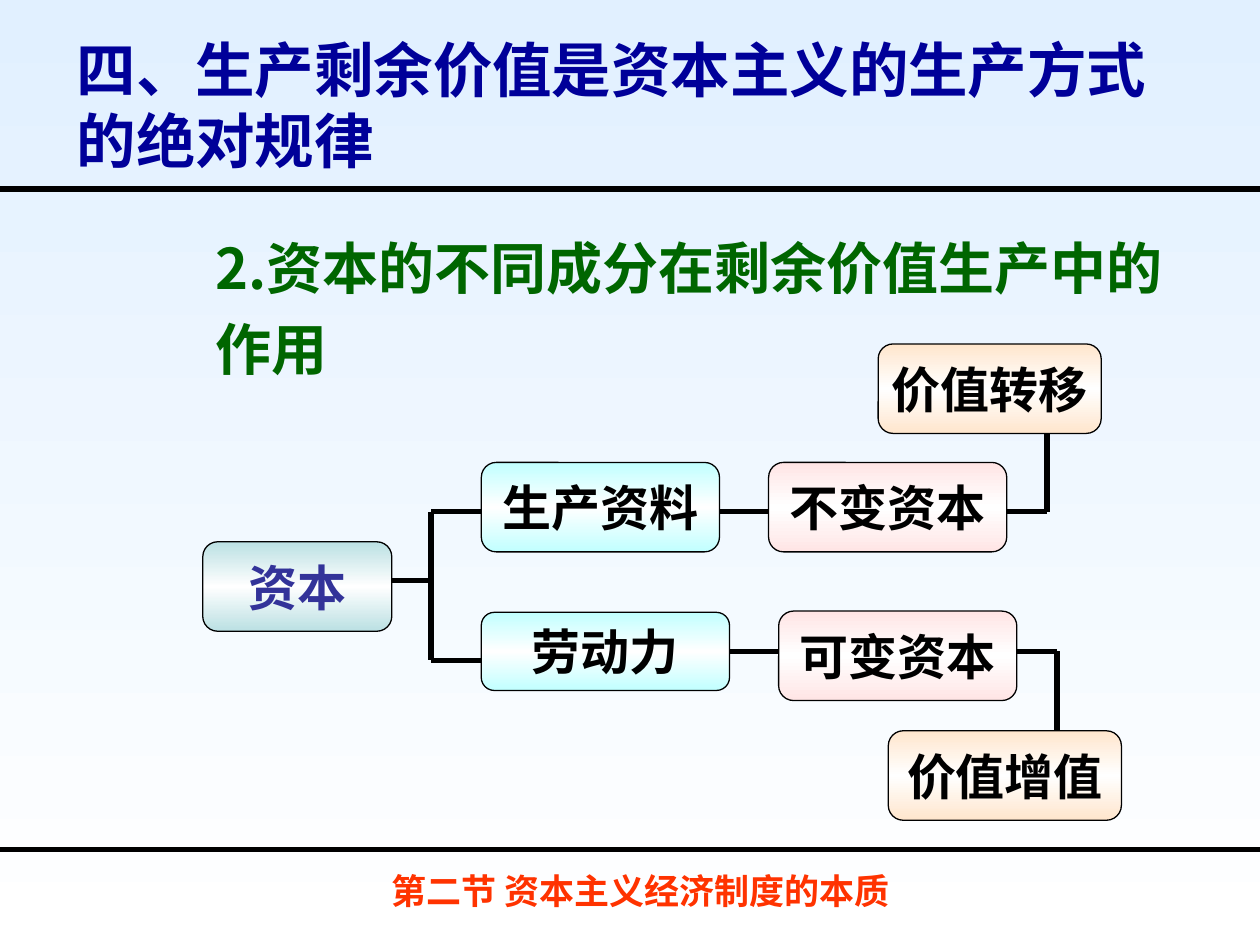
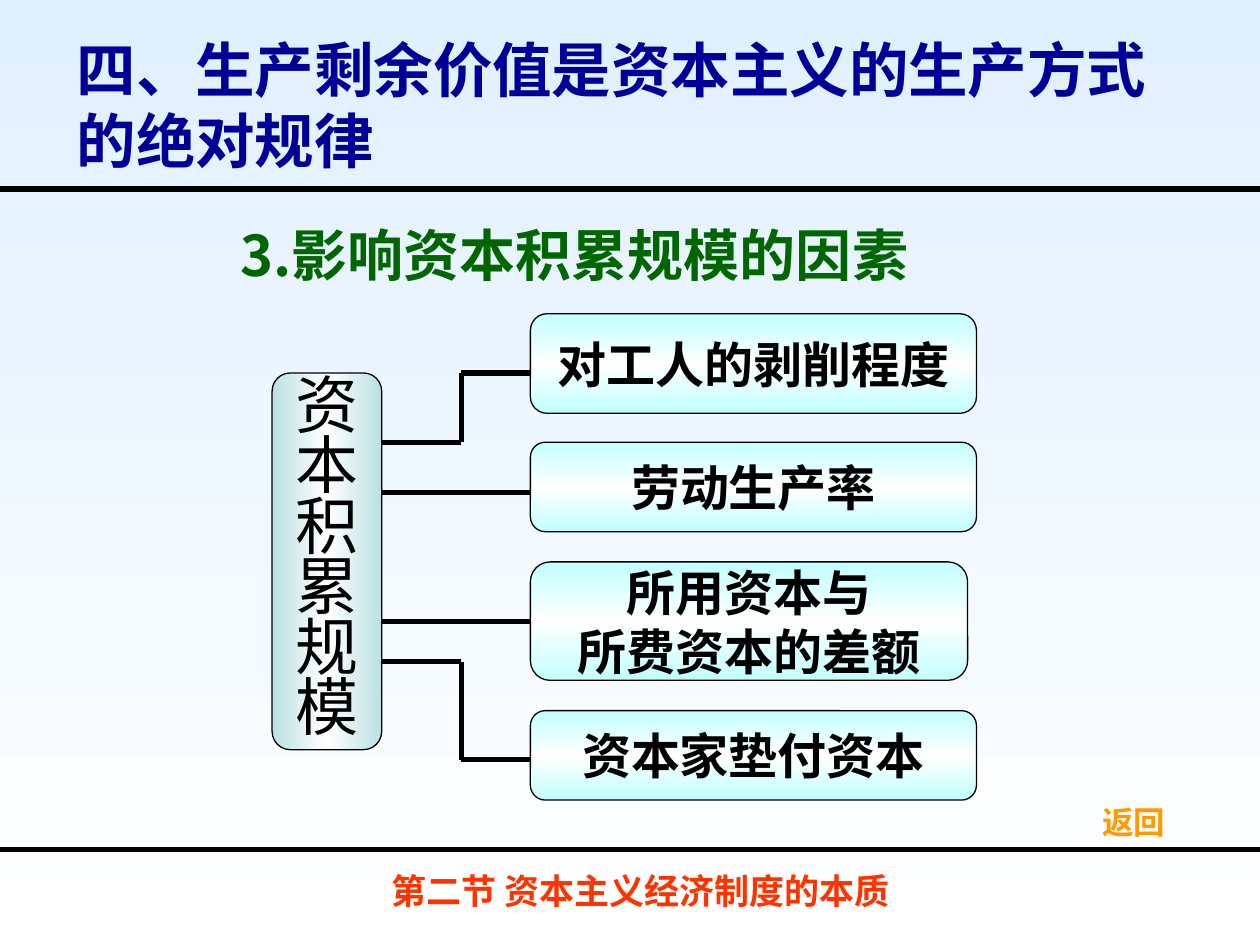
import copy
from dataclasses import dataclass
from itertools import pairwise
from typing import Any, NamedTuple

import pptx
import pptx.dml.color
import pptx.enum.shapes
import pptx.enum.text
import pptx.oxml
import pptx.oxml.ns
import pptx.util

Inches = pptx.util.Inches
Pt = pptx.util.Pt
Rgb = pptx.dml.color.RGBColor.from_string
qn = pptx.oxml.ns.qn
Align = pptx.enum.text.PP_ALIGN
Anchor = pptx.enum.text.MSO_ANCHOR


class Style(NamedTuple):
    size: int
    color: str
    font: str = "Arial"
    bold: bool = True


@dataclass(frozen=True)
class Theme:
    asian: str = "Noto Sans CJK SC"
    ink: str = "000000"
    white: str = "FFFFFF"
    sky: str = "E1F0FF"
    teal: str = "BBE0E3"
    cyan: str = "C1FFFF"
    peach: str = "FFE6CD"
    pink: str = "FFE5E5"
    rule: float = 3
    edge: float = 0.75
    title: Style = Style(34, "000099", "Noto Sans CJK SC")
    head: Style = Style(32, "006600", "Noto Sans CJK SC")
    foot: Style = Style(20, "FF3300", "Noto Sans CJK SC")
    root: Style = Style(28, "333399")
    label: Style = Style(28, "000000")
    tall: Style = Style(36, "000000", bold=False)
    back: Style = Style(18, "FF9900")


THEME = Theme()
Point = tuple[float, float]


class Place(NamedTuple):
    left: float
    top: float
    width: float
    height: float

    def emu(self) -> list[int]:
        return [Inches(side) for side in self]


@dataclass(frozen=True)
class Node:
    text: str
    place: Place
    fill: str
    style: Style = THEME.label
    angle: int = 270
    space: float | None = None


def paint(fill: Any, root: Any, colors: list[str], angle: int) -> None:
    fill.gradient()
    fill.gradient_angle = angle
    stops = next(root.iter(qn("a:gsLst")))
    while len(stops) < len(colors):
        stops.append(copy.deepcopy(stops[-1]))
    for i, (stop, color) in enumerate(zip(fill.gradient_stops, colors)):
        stop.position = i / (len(colors) - 1)
        stop.color.rgb = Rgb(color)


def write(shape: Any, text: str, style: Style, align: Any = Align.CENTER,
          wrap: bool = False, anchor: Any = Anchor.MIDDLE,
          space: float | None = None, inset: float = 0.1) -> None:
    frame = shape.text_frame
    frame.word_wrap = wrap
    frame.vertical_anchor = anchor
    frame.margin_left = frame.margin_right = Inches(inset)
    for i, row in enumerate(text.split("\n")):
        para = frame.add_paragraph() if i else frame.paragraphs[0]
        para.alignment = align
        para.line_spacing = space
        for j, part in enumerate(row.split("\v")):
            if j:
                para.add_line_break()
            run = para.add_run()
            run.text = part
            run.font.size = Pt(style.size)
            run.font.bold = style.bold
            run.font.name = style.font
            run.font.color.rgb = Rgb(style.color)
            asian = pptx.oxml.parse_xml(
                f'<a:ea {pptx.oxml.ns.nsdecls("a")} typeface="{THEME.asian}"/>')
            run.font._element.append(asian)


def label(slide: Any, text: str, place: Place, style: Style, **opts: Any) -> None:
    write(slide.shapes.add_textbox(*place.emu()), text, style, **opts)


def box(slide: Any, node: Node) -> Any:
    kind = pptx.enum.shapes.MSO_SHAPE.ROUNDED_RECTANGLE
    shape = slide.shapes.add_shape(kind, *node.place.emu())
    shape.shadow.inherit = False
    paint(shape.fill, shape.element, [node.fill, THEME.white, node.fill], node.angle)
    shape.line.color.rgb = Rgb(THEME.ink)
    shape.line.width = Pt(THEME.edge)
    write(shape, node.text, node.style, space=node.space)
    return shape


def route(slide: Any, *points: Point) -> list[Any]:
    lines = []
    for start, end in pairwise(points):
        line = slide.shapes.add_connector(
            pptx.enum.shapes.MSO_CONNECTOR.STRAIGHT,
            *[Inches(v) for v in (*start, *end)])
        line.line.color.rgb = Rgb(THEME.ink)
        line.line.width = Pt(THEME.rule)
        line._element.spPr.append(pptx.oxml.parse_xml(
            f'<a:effectLst {pptx.oxml.ns.nsdecls("a")}/>'))
        lines.append(line)
    return lines


def base(deck: Any) -> Any:
    slide = deck.slides.add_slide(deck.slide_layouts[6])
    paint(slide.background.fill, slide.element, [THEME.sky, THEME.white], 270)
    for y in (1.5, 6.74):
        route(slide, (0, y), (10, y))
    label(slide, "四、生产剩余价值是资本主义的生产方式\v的绝对规律",
          Place(0.51, 0.28, 9.29, 1.1), THEME.title, align=Align.LEFT, wrap=True)
    label(slide, "第二节 资本主义经济制度的本质",
          Place(2.17, 6.83, 5.83, 0.47), THEME.foot)
    return slide


def parts(deck: Any) -> None:
    slide = base(deck)
    label(slide, "2.资本的不同成分在剩余价值生产中的作用",
          Place(1.61, 1.7, 7.87, 1.38), THEME.head, align=Align.LEFT,
          wrap=True, anchor=Anchor.TOP, space=1.2)
    nodes = [
        Node("资本", Place(1.61, 4.3, 1.5, 0.71), THEME.teal, THEME.root),
        Node("生产资料", Place(3.82, 3.67, 1.89, 0.71), THEME.cyan),
        Node("劳动力", Place(3.82, 4.86, 1.97, 0.62), THEME.cyan),
        Node("价值转移", Place(6.97, 2.73, 1.77, 0.71), THEME.peach),
        Node("价值增值", Place(7.05, 5.8, 1.85, 0.71), THEME.peach),
        Node("不变资本", Place(6.1, 3.67, 1.89, 0.71), THEME.pink),
        Node("可变资本", Place(6.18, 4.85, 1.89, 0.71), THEME.pink),
    ]
    shapes = {node.text: box(slide, node) for node in nodes}
    route(slide, (3.82, 4.06), (3.42, 4.06), (3.42, 5.24), (3.82, 5.24))
    route(slide, (3.11, 4.61), (3.42, 4.61))
    route(slide, (5.71, 4.06), (6.1, 4.06))
    route(slide, (7.99, 4.06), (8.31, 4.06), (8.31, 3.44))
    route(slide, (8.07, 5.17), (8.39, 5.17), (8.39, 5.8))
    labor = route(slide, (5.79, 5.17), (6.18, 5.17))[0]
    labor.begin_connect(shapes["劳动力"], 3)


def causes(deck: Any) -> None:
    slide = base(deck)
    label(slide, "3.影响资本积累规模的因素",
          Place(1.61, 1.62, 5.9, 0.79), THEME.head)
    box(slide, Node("\n".join("资本积累规模"), Place(2.16, 2.96, 0.87, 2.99),
                    THEME.teal, THEME.tall, angle=0, space=0.8))
    left, bend, right = 3.03, 3.66, 4.21
    rows = [
        ("对工人的剥削程度", 2.49, 3.54, 0.79),
        ("劳动生产率", 3.51, 3.54, 0.71),
        ("所用资本与\n所费资本的差额", 4.46, 3.47, 0.94),
        ("资本家垫付资本", 5.64, 3.54, 0.71),
    ]
    shapes = [box(slide, Node(text, Place(right, top, width, height), THEME.cyan))
              for text, top, width, height in rows]
    for start, end in ((3.51, 2.96), (5.25, 6.03)):
        route(slide, (left, start), (bend, start), (bend, end), (right, end))
    route(slide, (left, 3.91), (right, 3.91))
    gap = route(slide, (left, 4.93), (right, 4.93))[0]
    gap.end_connect(shapes[2], 1)
    label(slide, "返回", Place(8.7, 6.27, 0.6, 0.5), THEME.back, inset=0)


def main() -> None:
    deck = pptx.Presentation()
    deck.slide_width, deck.slide_height = Inches(10), Inches(7.5)
    parts(deck)
    causes(deck)
    deck.save("out.pptx")


if __name__ == "__main__":
    main()
